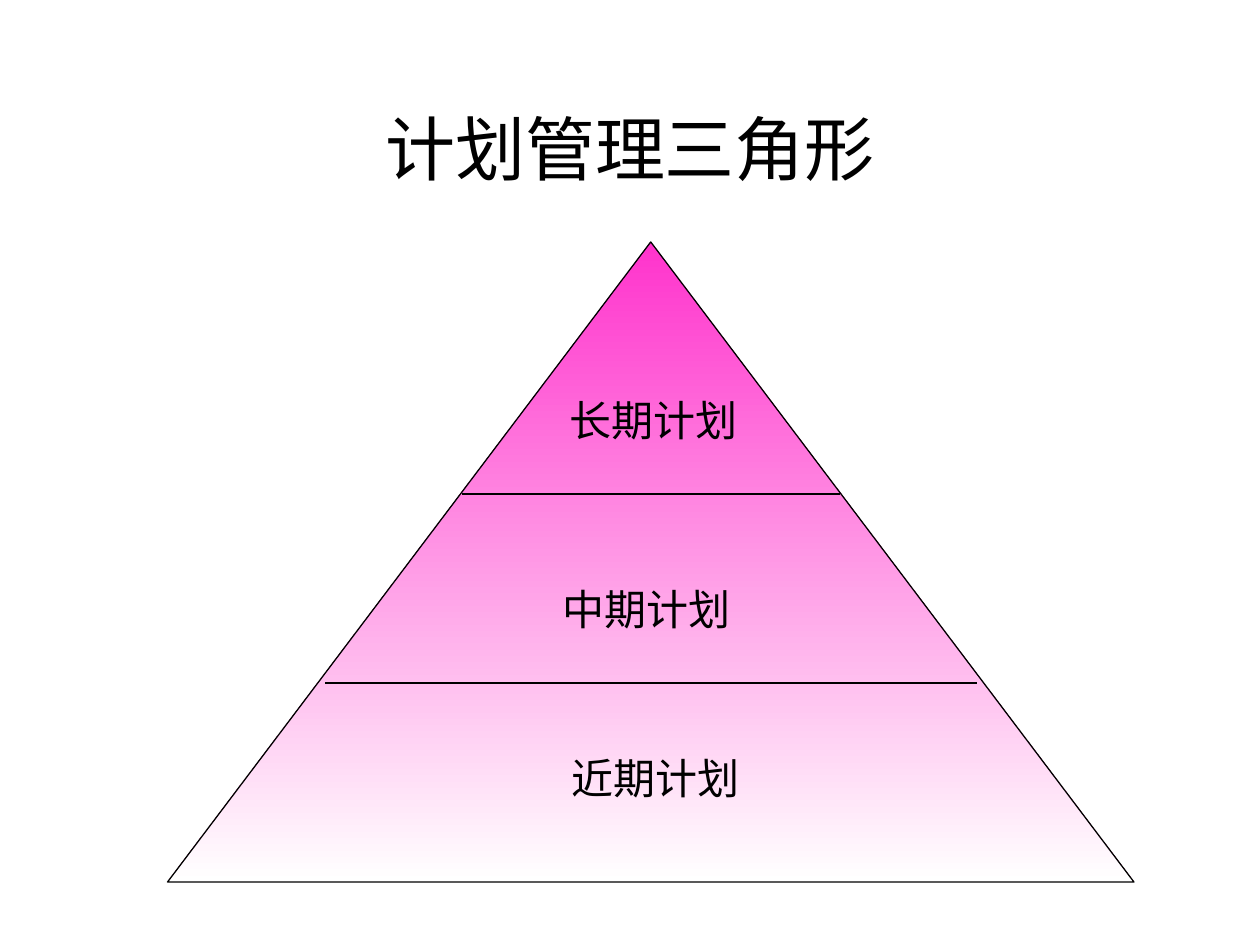
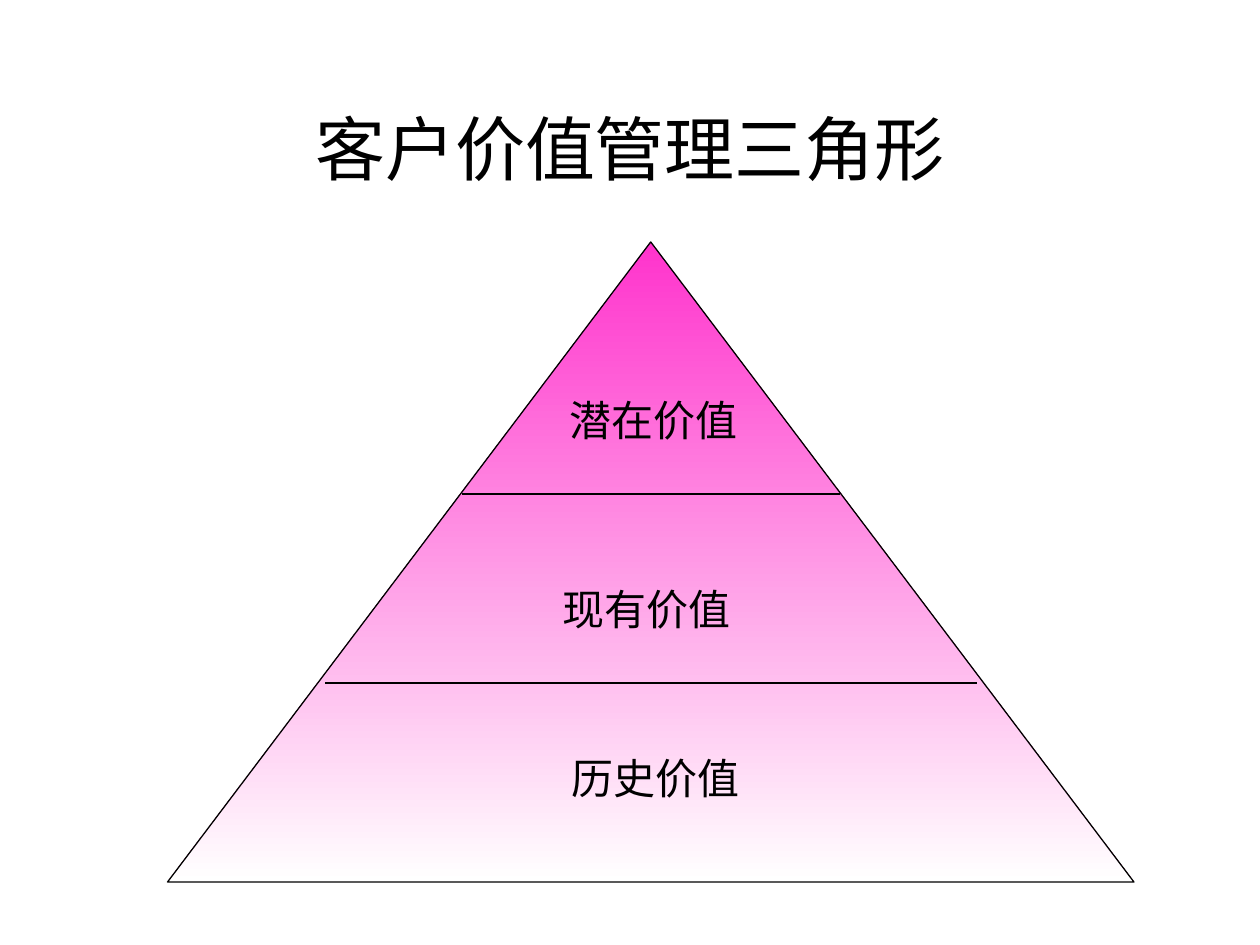
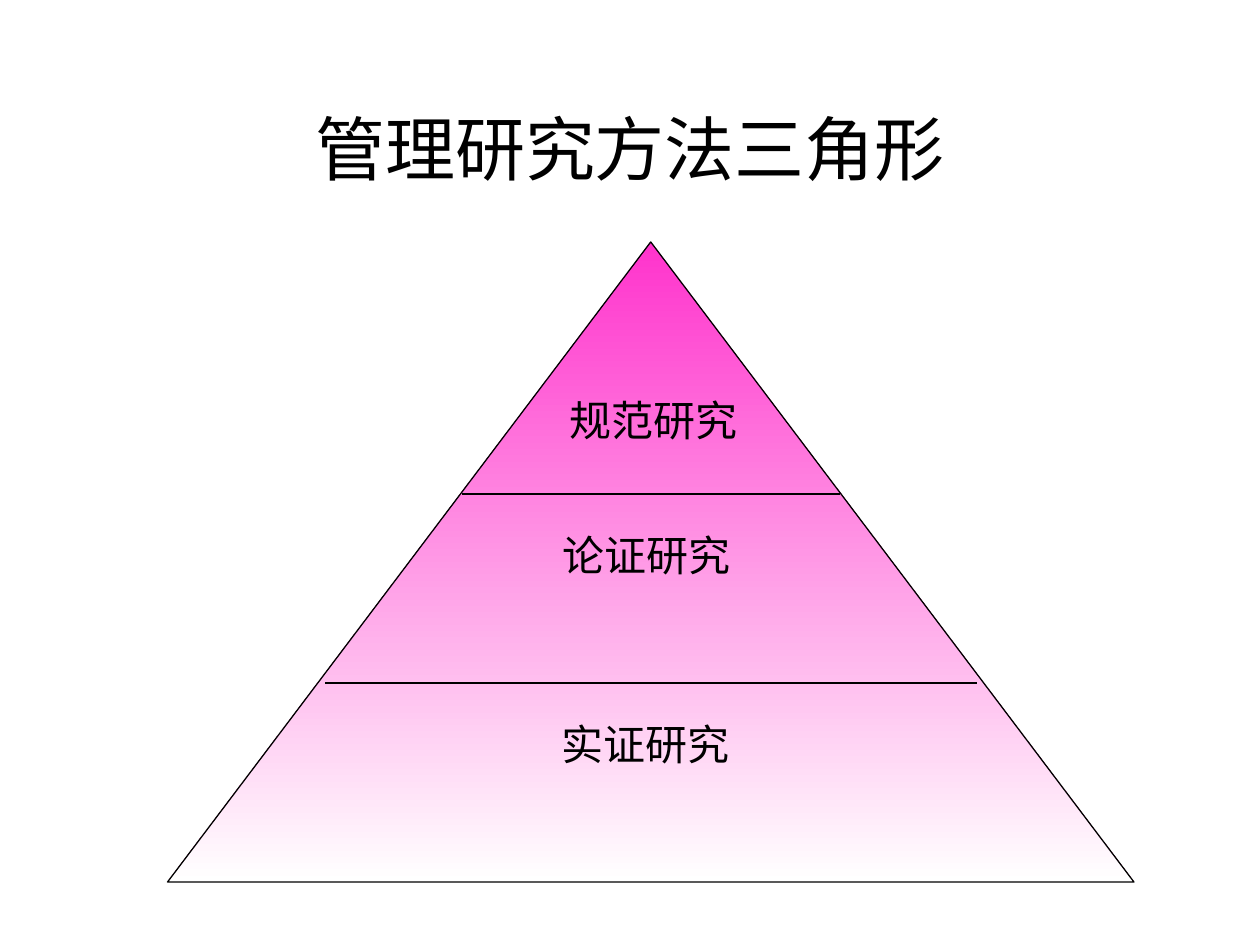
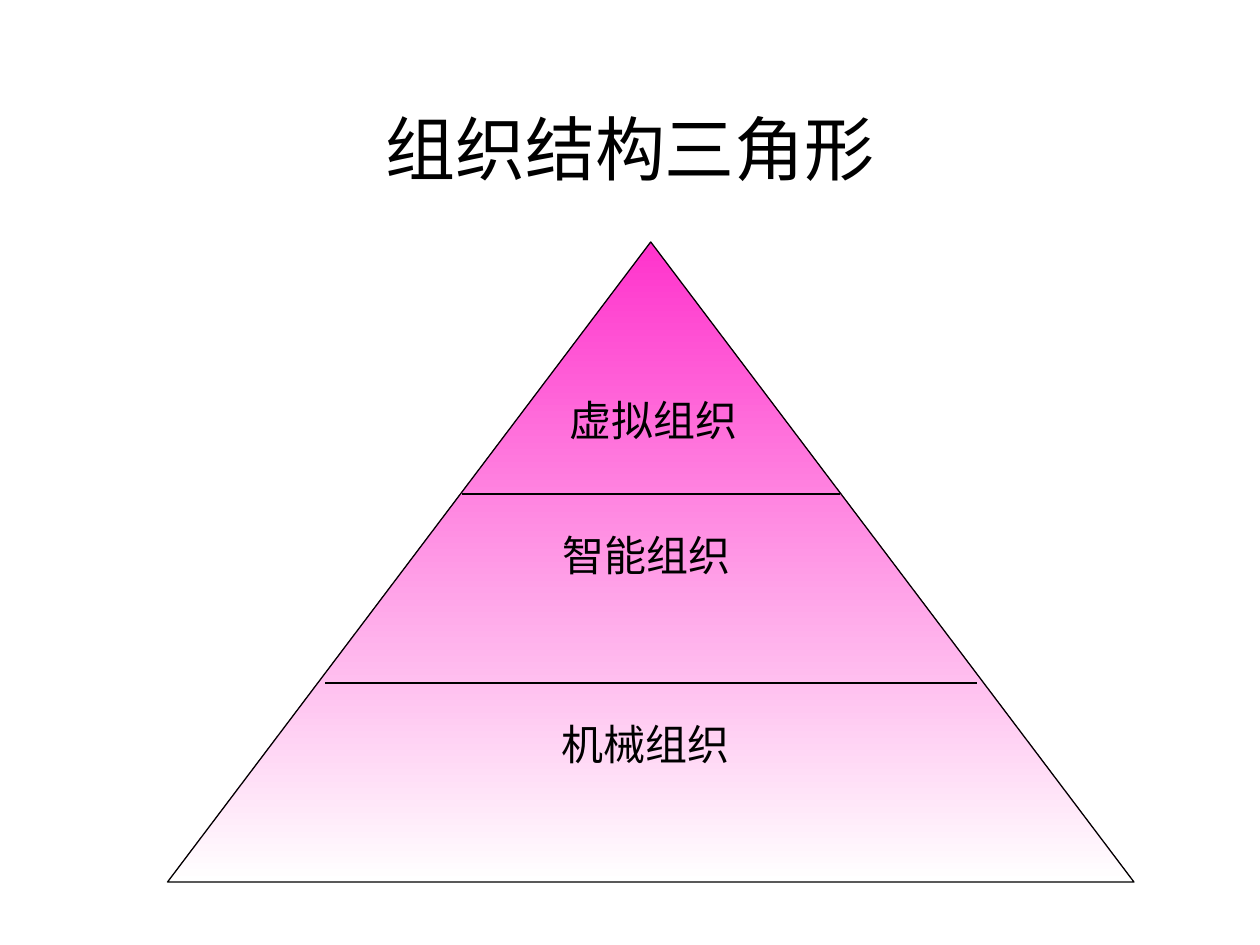
from lxml import etree
from pptx import Presentation
from pptx.dml.color import RGBColor
from pptx.enum import shapes, text
from pptx.oxml import ns
from pptx.util import Inches, Pt

BLACK, PINK, WHITE = "000000", "FF33CC", "FFFFFF"
CJK_FONT, LATIN_FONT = "Noto Sans CJK SC", "Times New Roman"

# Left, top and width of the labels, from the tip of the triangle to its base
CENTRED_LABELS = [(4.42, 3.08, 1.58), (2.92, 4.58, 4.42), (2.08, 5.92, 6.25)]
RAISED_LABELS = [(4.42, 3.08, 1.58), (2.92, 4.15, 4.42), (2, 5.65, 6.25)]
# Left end, right end and height of the lines between the levels
DIVIDERS = [(2.58, 7.75, 5.42), (3.67, 6.67, 3.92)]

TRIANGLES = [
    ("计划管理三角形", ["长期计划", "中期计划", "近期计划"], CENTRED_LABELS),
    ("客户价值管理三角形", ["潜在价值", "现有价值", "历史价值"], CENTRED_LABELS),
    ("管理研究方法三角形", ["规范研究", "论证研究", "实证研究"], RAISED_LABELS),
    ("组织结构三角形", ["虚拟组织", "智能组织", "机械组织"], RAISED_LABELS),
]


def rgb(hex_code):
    return RGBColor.from_string(hex_code)


def format_paragraph(paragraph, size, latin, align):
    """Set alignment and font, with the CJK font for Chinese characters."""
    paragraph.alignment = align
    paragraph.font.size = Pt(size)
    paragraph.font.color.rgb = rgb(BLACK)
    paragraph.font.name = latin
    defaults = paragraph._p.pPr.find(ns.qn("a:defRPr"))
    etree.SubElement(defaults, ns.qn("a:ea"), typeface=CJK_FONT)


prs = Presentation()
prs.slide_width, prs.slide_height = Inches(10), Inches(7.5)

for heading, levels, places in TRIANGLES:
    slide = prs.slides.add_slide(prs.slide_layouts[5])

    title = slide.shapes.title
    title.left, title.top = Inches(0.5), Inches(0.42)
    title.width, title.height = Inches(9), Inches(1.5)
    title.text_frame.text = heading
    title.text_frame.vertical_anchor = text.MSO_ANCHOR.MIDDLE
    title.text_frame.auto_size = text.MSO_AUTO_SIZE.NONE
    format_paragraph(title.text_frame.paragraphs[0], 40, CJK_FONT, text.PP_ALIGN.CENTER)

    triangle = slide.shapes.add_shape(
        shapes.MSO_SHAPE.ISOSCELES_TRIANGLE,
        Inches(1.33), Inches(1.92), Inches(7.67), Inches(5.08))
    triangle.shadow.inherit = False
    triangle.fill.gradient()
    triangle.fill.gradient_angle = 270
    for stop, color in zip(triangle.fill.gradient_stops, (PINK, WHITE)):
        stop.color.rgb = rgb(color)
    triangle.line.color.rgb = rgb(BLACK)
    triangle.line.width = Pt(0.75)

    for start, end, y in DIVIDERS:
        divider = slide.shapes.add_connector(
            shapes.MSO_CONNECTOR.STRAIGHT, Inches(start), Inches(y), Inches(end), Inches(y))
        divider.line.color.rgb = rgb(BLACK)
        divider.line.width = Pt(0.75)
        etree.SubElement(divider._element.spPr, ns.qn("a:effectLst"))

    for index, (level, (left, top, width)) in enumerate(zip(levels, places)):
        label = slide.shapes.add_textbox(Inches(left), Inches(top), Inches(width), Inches(0.5))
        label.text_frame.word_wrap = True
        label.text_frame.auto_size = text.MSO_AUTO_SIZE.SHAPE_TO_FIT_TEXT
        label.text_frame.text = level
        align = text.PP_ALIGN.CENTER if index else text.PP_ALIGN.LEFT
        format_paragraph(label.text_frame.paragraphs[0], 24, LATIN_FONT, align)

prs.save("out.pptx")
